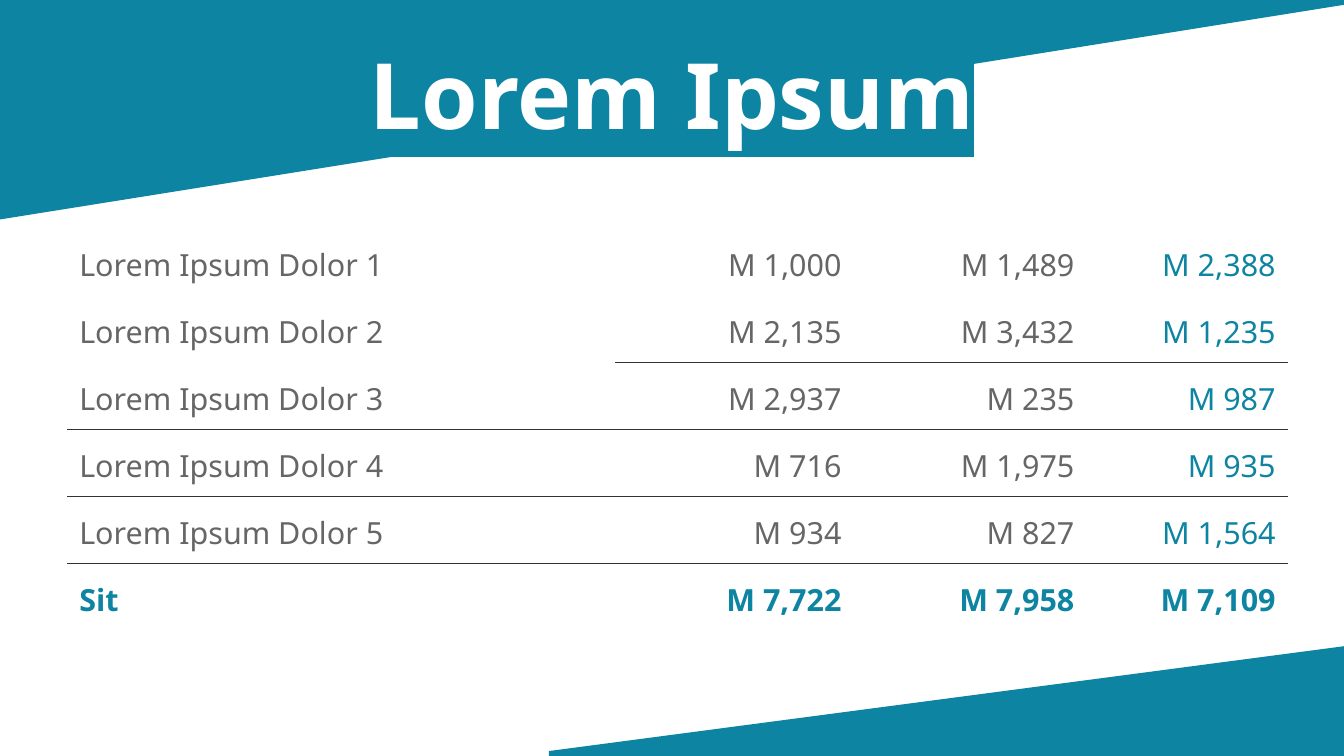
from lxml import etree
from pptx import Presentation
from pptx import util as u
from pptx.dml.color import RGBColor
from pptx.enum import text
from pptx.oxml.ns import qn

TEAL, GREY, RULE, WHITE = "0D84A1", "666666", "333333", "FFFFFF"
FONT = "Noto Sans"
TITLE = "Lorem Ipsum"
ROWS = [
    ("Lorem Ipsum Dolor 1", "M 1,000", "M 1,489", "M 2,388"),
    ("Lorem Ipsum Dolor 2", "M 2,135", "M 3,432", "M 1,235"),
    ("Lorem Ipsum Dolor 3", "M 2,937", "M 235", "M 987"),
    ("Lorem Ipsum Dolor 4", "M 716", "M 1,975", "M 935"),
    ("Lorem Ipsum Dolor 5", "M 934", "M 827", "M 1,564"),
    ("Sit", "M 7,722", "M 7,958", "M 7,109"),
]
COL_WIDTHS = [4.49, 1.96, 1.91, 1.65]
ROW_HEIGHT = 0.55
RULE_WIDTH = 0.06
BANDS = [
    [(4.5, 6.2), (11.02, 6.2), (11.02, 5.3), (4.5, 6.16)],
    [(0, 0), (11.02, 0), (11.02, 0.04), (0, 1.8)],
]


def rgb(value):
    return RGBColor.from_string(value)


def set_all(obj, values):
    for name, value in values.items():
        setattr(obj, name, value)


def add_band(s, points):
    scaled = [(round(x * 100), round(y * 100)) for x, y in points]
    builder = s.shapes.build_freeform(*scaled[0], scale=u.Inches(0.01))
    builder.add_line_segments(scaled[1:], close=True)
    sp = builder.convert_to_shape()
    sp.shadow.inherit = False
    sp.fill.solid()
    sp.fill.fore_color.rgb = rgb(TEAL)
    sp.line.fill.background()


def write(p, words, size, color, bold, align):
    p.alignment = align
    r = p.add_run()
    r.text = words
    set_all(r.font, {"size": u.Pt(size), "name": FONT, "bold": bold})
    r.font.color.rgb = rgb(color)
    return r


def highlight(r, color):
    mark = etree.Element(qn("a:highlight"))
    etree.SubElement(mark, qn("a:srgbClr"), val=color)
    r.font.fill
    r._r.rPr.find(qn("a:solidFill")).addnext(mark)


def set_borders(cell, top, bottom):
    edges = {"lnL": False, "lnR": False, "lnT": top, "lnB": bottom}
    for i, (tag, shown) in enumerate(edges.items()):
        ln = etree.Element(qn("a:" + tag), w=str(u.Pt(RULE_WIDTH)))
        if shown:
            fill = etree.SubElement(ln, qn("a:solidFill"))
            etree.SubElement(fill, qn("a:srgbClr"), val=RULE)
        else:
            etree.SubElement(ln, qn("a:noFill"))
        cell._tc.get_or_add_tcPr().insert(i, ln)


def has_rule_below(row, col):
    return 2 <= row < len(ROWS) - 1 or (row == 1 and col > 0)


def add_figures(s):
    box = map(u.Inches, (0.55, 1.87, sum(COL_WIDTHS), ROW_HEIGHT * len(ROWS)))
    table = s.shapes.add_table(len(ROWS), len(COL_WIDTHS), *box).table
    set_all(table, {"first_row": False, "horz_banding": False})
    for column, width in zip(table.columns, COL_WIDTHS):
        column.width = u.Inches(width)
    for i, values in enumerate(ROWS):
        table.rows[i].height = u.Inches(ROW_HEIGHT)
        total = i == len(ROWS) - 1
        for j, value in enumerate(values):
            cell = table.cell(i, j)
            cell.vertical_anchor = text.MSO_ANCHOR.MIDDLE
            cell.fill.solid()
            cell.fill.fore_color.rgb = rgb(WHITE)
            p = cell.text_frame.paragraphs[0]
            p.line_spacing = 1.15
            color = TEAL if total or j == len(values) - 1 else GREY
            align = text.PP_ALIGN.RIGHT if j else text.PP_ALIGN.LEFT
            write(p, value, 18, color, total, align)
            set_borders(cell, has_rule_below(i - 1, j), has_rule_below(i, j))


def add_title(s):
    sp = s.shapes.add_textbox(*map(u.Inches, (0.55, 0.25, 9.92, 1.03)))
    tf = sp.text_frame
    set_all(tf, {
        "word_wrap": True, "vertical_anchor": text.MSO_ANCHOR.MIDDLE,
        "margin_left": 0, "margin_right": 0, "margin_top": 0, "margin_bottom": 0,
    })
    r = write(tf.paragraphs[0], TITLE, 54, WHITE, True, text.PP_ALIGN.CENTER)
    highlight(r, TEAL)


def main():
    prs = Presentation()
    set_all(prs, {"slide_width": u.Inches(11.02), "slide_height": u.Inches(6.2)})
    s = prs.slides.add_slide(prs.slide_layouts[6])
    for points in BANDS:
        add_band(s, points)
    add_figures(s)
    add_title(s)
    prs.save("out.pptx")


if __name__ == "__main__":
    main()
